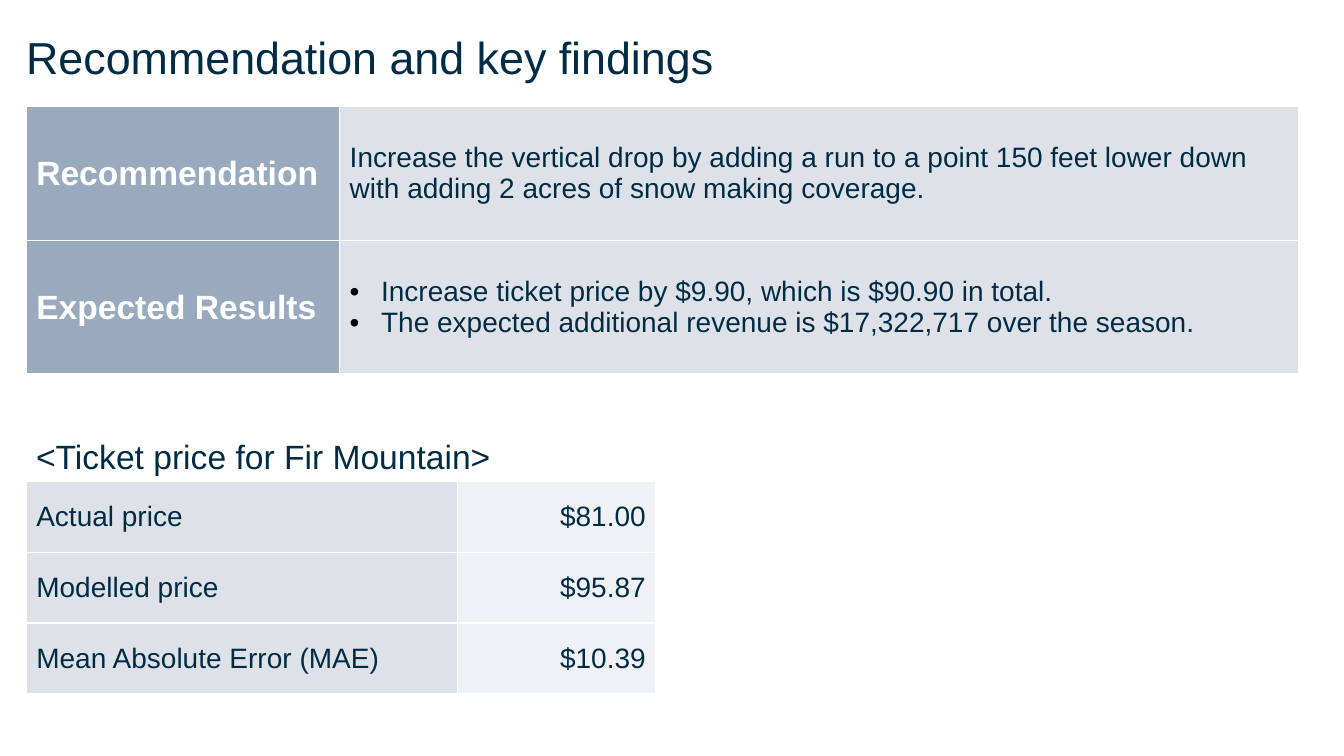
from dataclasses import dataclass

from lxml.etree import SubElement
from pptx import Presentation
from pptx.dml.color import RGBColor
from pptx.enum.text import MSO_ANCHOR, PP_ALIGN
from pptx.oxml import parse_xml
from pptx.oxml.ns import nsdecls, qn
from pptx.util import Cm, Pt


@dataclass(frozen=True)
class Theme:
    """Colours, font and type sizes of the slide."""
    ink: str = "002C46"
    white: str = "FFFFFF"
    bullet: str = "000000"
    header: str = "99AABE"
    band: str = "DEE2E8"
    pale: str = "EFF1F4"
    font: str = "Arial"
    title: int = 32
    heading: int = 24
    body: int = 20


THEME = Theme()
LEFT = 0.66
FINDINGS = [
    ("Recommendation", [
        "Increase the vertical drop by adding a run to a point 150 feet lower down "
        "with adding 2 acres of snow making coverage."]),
    ("Expected Results", [
        "Increase ticket price by $9.90, which is $90.90 in total.",
        "The expected additional revenue is $17,322,717 over the season."]),
]
PRICES = [
    ("Actual price", "$81.00"),
    ("Modelled price", "$95.87"),
    ("Mean Absolute Error (MAE)", "$10.39"),
]


def add_run(paragraph, wording, size, color=THEME.ink, bold=False):
    """Append one styled run to a paragraph."""
    run = paragraph.add_run()
    run.text = wording
    run.font.name = THEME.font
    run.font.size = Pt(size)
    run.font.bold = bold
    run.font.color.rgb = RGBColor.from_string(color)


def add_bullet(paragraph):
    """Give a paragraph a hanging round bullet."""
    properties = paragraph._p.get_or_add_pPr()
    properties.set("marL", str(Cm(0.79)))
    properties.set("indent", str(-Cm(0.79)))
    color = SubElement(properties, qn("a:buClr"))
    SubElement(color, qn("a:srgbClr"), val=THEME.bullet)
    SubElement(properties, qn("a:buFont"), typeface=THEME.font)
    SubElement(properties, qn("a:buChar"), char="•")


def fill_cell(cell, lines, fill, size=THEME.body, color=THEME.ink, bold=False,
              align=PP_ALIGN.LEFT):
    """Write lines in a filled, white-bordered cell, bulleted if several."""
    cell.fill.solid()
    cell.fill.fore_color.rgb = RGBColor.from_string(fill)
    cell.vertical_anchor = MSO_ANCHOR.MIDDLE
    for position, side in enumerate("LRTB"):
        border = parse_xml(
            f'<a:ln{side} {nsdecls("a")} w="{Pt(1)}"><a:solidFill>'
            f'<a:srgbClr val="{THEME.white}"/></a:solidFill></a:ln{side}>')
        cell._tc.get_or_add_tcPr().insert(position, border)
    frame = cell.text_frame
    for index, line in enumerate(lines):
        paragraph = frame.add_paragraph() if index else frame.paragraphs[0]
        paragraph.alignment = align
        if len(lines) > 1:
            add_bullet(paragraph)
        add_run(paragraph, line, size, color, bold)


def add_grid(slide, left, top, widths, heights):
    """Add an empty table with the given column widths and row heights."""
    grid = slide.shapes.add_table(
        len(heights), len(widths), Cm(left), Cm(top),
        Cm(sum(widths)), Cm(sum(heights))).table
    grid.first_row = grid.horz_banding = False
    for column, width in zip(grid.columns, widths):
        column.width = Cm(width)
    for row, height in zip(grid.rows, heights):
        row.height = Cm(height)
    return grid


def add_label(slide, left, top, width, height, wording, size, inset=0.0, wrap=True):
    """Add a vertically centred one-line label."""
    frame = slide.shapes.add_textbox(Cm(left), Cm(top), Cm(width), Cm(height)).text_frame
    frame.word_wrap = wrap
    frame.vertical_anchor = MSO_ANCHOR.MIDDLE
    frame.margin_left = frame.margin_right = Cm(inset)
    frame.margin_top = frame.margin_bottom = Cm(inset / 2)
    add_run(frame.paragraphs[0], wording, size)


def add_findings(slide, left, top, width):
    """Place the recommendation table."""
    heading_width = 7.9
    grid = add_grid(slide, left, top, [heading_width, width - heading_width], [3.4, 3.35])
    for row, (heading, lines) in enumerate(FINDINGS):
        fill_cell(grid.cell(row, 0), [heading], THEME.header, THEME.heading,
                  THEME.white, bold=True)
        fill_cell(grid.cell(row, 1), lines, THEME.band)


def add_prices(slide, left, top, width):
    """Place the ticket price caption with its table below."""
    caption_height, price_width = 1.27, 5
    grid = add_grid(slide, left, top + caption_height,
                    [width - price_width, price_width], [1.78] * len(PRICES))
    for row, (measure, price) in enumerate(PRICES):
        fill_cell(grid.cell(row, 0), [measure], THEME.band)
        fill_cell(grid.cell(row, 1), [price], THEME.pale, align=PP_ALIGN.RIGHT)
    add_label(slide, left, top, 12.32, caption_height,
              "<Ticket price for Fir Mountain>", THEME.heading, inset=0.25, wrap=False)


def main():
    """Build and save the slide."""
    deck = Presentation()
    deck.slide_width, deck.slide_height = Cm(33.87), Cm(19.05)
    slide = deck.slides.add_slide(deck.slide_layouts[6])
    add_label(slide, LEFT, 0.66, 32.56, 1.52, "Recommendation and key findings", THEME.title)
    add_findings(slide, LEFT, 2.67, 32.06)
    add_prices(slide, LEFT, 10.87, 15.87)
    deck.save("out.pptx")


if __name__ == "__main__":
    main()
